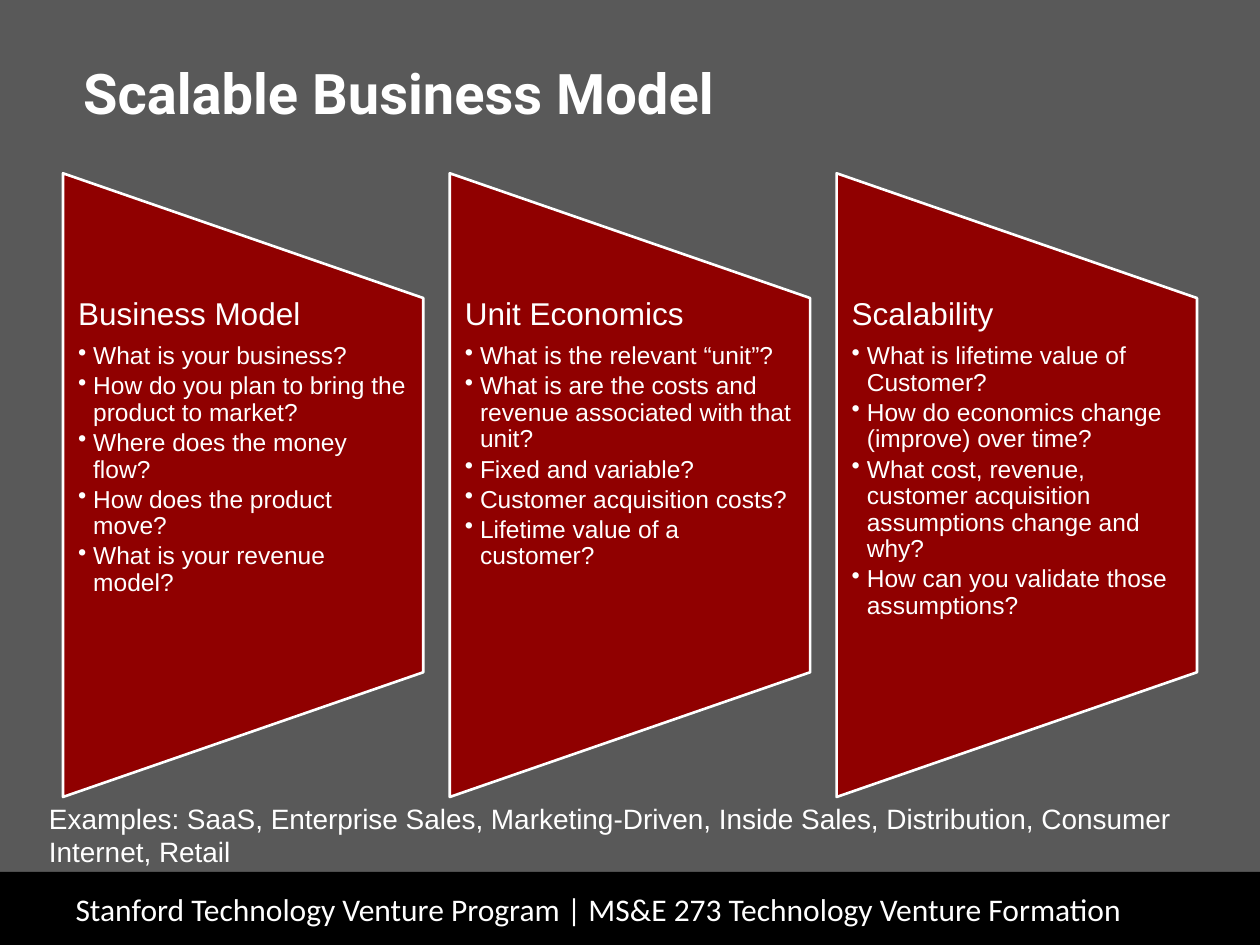
from dataclasses import dataclass

from lxml import etree
from pptx import Presentation
from pptx import util as u
from pptx.dml.color import RGBColor
from pptx.enum import shapes, text
from pptx.oxml.ns import qn

COLORS = {"background": "595959", "bar": "000000", "panel": "900000", "text": "FFFFFF"}
PANEL_LEFT, PANEL_STEP = 0.5, 3.07
PANEL_WIDTH, PANEL_HEIGHT, PANEL_CENTER = 2.86, 4.95, 3.85


@dataclass
class Panel:
    heading: str
    questions: list[str]


PANELS = [
    Panel("Business Model", [
        "What is your business?",
        "How do you plan to bring the product to market?",
        "Where does the money flow?",
        "How does the product move?",
        "What is your revenue model?",
    ]),
    Panel("Unit Economics", [
        "What is the relevant “unit”?",
        "What is are the costs and revenue associated with that unit?",
        "Fixed and variable?",
        "Customer acquisition costs?",
        "Lifetime value of a customer?",
    ]),
    Panel("Scalability", [
        "What is lifetime value of Customer?",
        "How do economics change (improve) over time?",
        "What cost, revenue, customer acquisition assumptions change and why?",
        "How can you validate those assumptions?",
    ]),
]


def color(name: str) -> RGBColor:
    return RGBColor.from_string(COLORS[name])


def style(para, name: str, size: float, bold: bool = False) -> None:
    para.alignment = text.PP_ALIGN.LEFT
    para.font.name = name
    para.font.size = u.Pt(size)
    para.font.bold = bold
    para.font.color.rgb = color("text")


def add_filled(page, kind, left, top, width, height, fill: str):
    shape = page.shapes.add_shape(kind, *map(u.Inches, (left, top, width, height)))
    shape.shadow.inherit = False
    shape.fill.solid()
    shape.fill.fore_color.rgb = color(fill)
    return shape


def add_text_box(page, left, top, width, height):
    box = page.shapes.add_textbox(*map(u.Inches, (left, top, width, height)))
    box.text_frame.word_wrap = True
    return box.text_frame


def set_indent(para, margin: float, first: float = 0) -> None:
    properties = para._p.get_or_add_pPr()
    properties.set("marL", str(u.Inches(margin)))
    properties.set("indent", str(u.Inches(first)))


def add_bullet(para) -> None:
    set_indent(para, 0.12, -0.12)
    etree.SubElement(para._p.get_or_add_pPr(), qn("a:buChar")).set("char", "•")


def add_panel(page, panel: Panel, left: float) -> None:
    # The trapezoid is turned on its side, so its frame is wide before rotation
    shape = add_filled(page, shapes.MSO_SHAPE.FLOWCHART_MANUAL_OPERATION,
                       left + (PANEL_WIDTH - PANEL_HEIGHT) / 2,
                       PANEL_CENTER - PANEL_WIDTH / 2,
                       PANEL_HEIGHT, PANEL_WIDTH, "panel")
    shape.rotation = 270
    shape.line.color.rgb = color("text")
    shape.line.width = u.Pt(1.5)

    frame = add_text_box(page, left, 2.37, PANEL_WIDTH, 2.97)
    frame.margin_left, frame.margin_right = u.Inches(0.12), u.Inches(0.13)
    frame.margin_top = frame.margin_bottom = 0
    heading = frame.paragraphs[0]
    heading.text = panel.heading
    heading.line_spacing = 0.9
    heading.space_after = u.Pt(6.3)
    style(heading, "Arial", 18)
    for question in panel.questions:
        para = frame.add_paragraph()
        para.text = question
        para.level = 1
        para.line_spacing = 0.9
        para.space_after = u.Pt(2.1)
        add_bullet(para)
        style(para, "Arial", 14)


def main() -> None:
    deck = Presentation()
    deck.slide_width, deck.slide_height = u.Inches(10), u.Inches(7.5)
    page = deck.slides.add_slide(deck.slide_layouts[5])
    page.background.fill.solid()
    page.background.fill.fore_color.rgb = color("background")

    # Title
    title = page.shapes.title
    title.left, title.top = u.Inches(0.5), u.Inches(0.28)
    title.width, title.height = u.Inches(9), u.Inches(0.77)
    title.text_frame.text = "Scalable Business Model"
    title.text_frame.vertical_anchor = text.MSO_ANCHOR.BOTTOM
    title.text_frame.auto_size = text.MSO_AUTO_SIZE.NONE
    set_indent(title.text_frame.paragraphs[0], 0.06)
    style(title.text_frame.paragraphs[0], "Roboto", 32, bold=True)

    # Footer bar
    bar = add_filled(page, shapes.MSO_SHAPE.RECTANGLE, 0, 6.92, 10, 0.59, "bar")
    bar.line.fill.background()
    bar.text_frame.margin_left = u.Inches(0.6)
    bar.text_frame.vertical_anchor = text.MSO_ANCHOR.MIDDLE
    bar.text_frame.text = ("Stanford Technology Venture Program | "
                           "MS&E 273 Technology Venture Formation")
    style(bar.text_frame.paragraphs[0], "Calibri", 18)

    # Three panels
    for index, panel in enumerate(PANELS):
        add_panel(page, panel, PANEL_LEFT + index * PANEL_STEP)

    # Examples
    examples = add_text_box(page, 0.29, 6.31, 9.71, 0.64)
    examples.auto_size = text.MSO_AUTO_SIZE.SHAPE_TO_FIT_TEXT
    examples.text = ("Examples: SaaS, Enterprise Sales, Marketing-Driven, Inside Sales, "
                     "Distribution, Consumer Internet, Retail")
    style(examples.paragraphs[0], "Arial", 16)

    deck.save("out.pptx")


if __name__ == "__main__":
    main()
